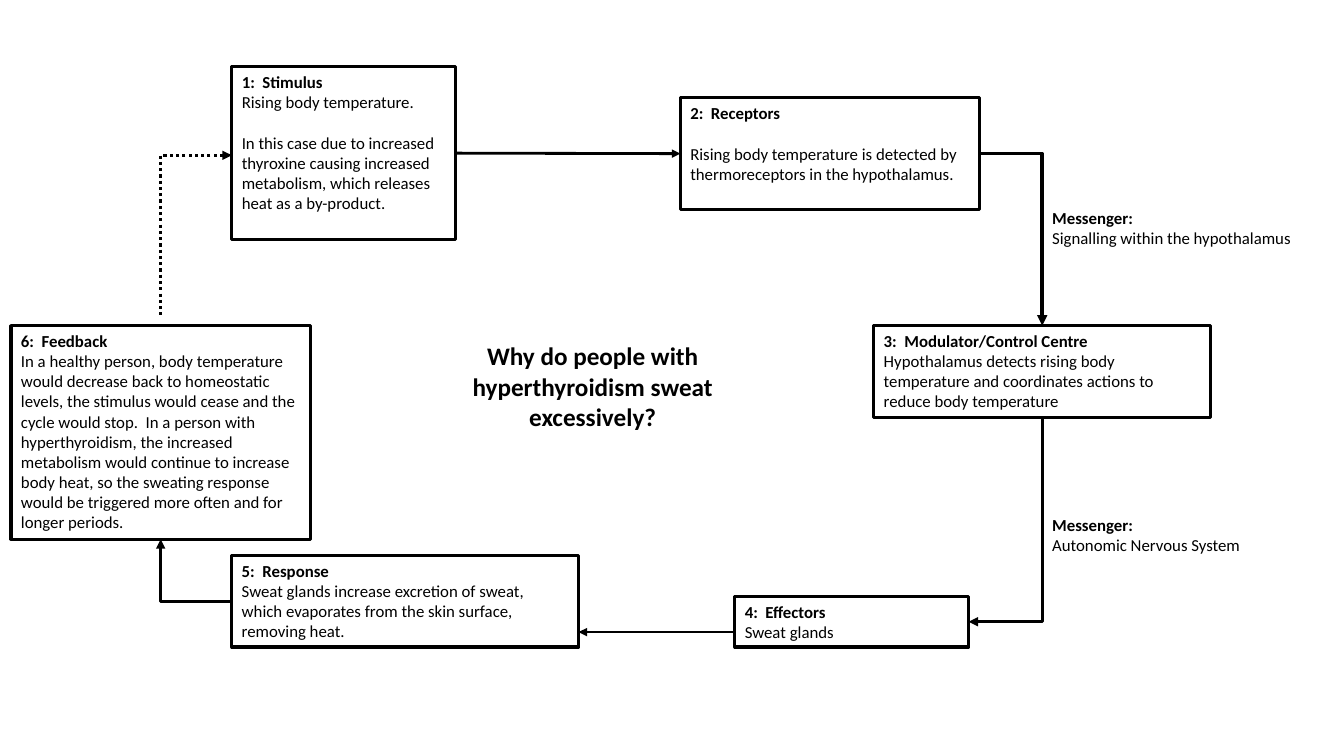
from lxml import etree
from pptx import Presentation
from pptx.dml.color import RGBColor
from pptx.enum import dml, shapes, text
from pptx.oxml import ns
from pptx.util import Pt

COLORS = {"ink": "000000", "paper": "FFFFFF"}
FONT = "Calibri"
TITLE = ("Why do people with hyperthyroidism sweat excessively?", (283.7, 239.8, 279.4, 72.7))

STAGES = {
    "stimulus": ((165.6, 47.5, 159.8, 123.8), 0, [
        "1:  Stimulus", "Rising body temperature.",
        "In this case due to increased thyroxine causing increased metabolism, "
        "which releases heat as a by-product."]),
    "receptors": ((486, 69.8, 213.8, 79.9), 0, [
        "2:  Receptors",
        "Rising body temperature is detected by thermoreceptors in the hypothalamus."]),
    "control": ((624.2, 232.6, 240.5, 65.5), 0, [
        "3:  Modulator/Control Centre",
        "Hypothalamus detects rising body temperature and coordinates actions to "
        "reduce body temperature"]),
    "effectors": ((524.9, 426.2, 167, 36), 0, ["4:  Effectors", "Sweat glands"]),
    "response": ((165.6, 396.7, 247.7, 65.5), 0, [
        "5:  Response",
        "Sweat glands increase excretion of sweat, which evaporates from the skin "
        "surface, removing heat."]),
    "feedback": ((7.9, 232.6, 213.8, 152.6), 0, [
        "6:  Feedback",
        "In a healthy person, body temperature would decrease back to homeostatic "
        "levels, the stimulus would cease and the cycle would stop.  In a person with "
        "hyperthyroidism, the increased metabolism would continue to increase body "
        "heat, so the sweating response would be triggered more often and for longer "
        "periods."]),
}
GAP_BEFORE = {("stimulus", 2): 14.6, ("receptors", 1): 14.6}
MESSENGERS = [
    ((744.5, 144.7, 215, 36), "Signalling within the hypothalamus"),
    ((744.5, 364.3, 175, 65.5), "Autonomic Nervous System"),
]
TOP, LEFT, BOTTOM, RIGHT = range(4)
BENDS = [
    (("receptors", RIGHT, 0), ("control", TOP, 0), "tailEnd", 2.5, False),
    (("effectors", RIGHT, 0), ("control", BOTTOM, 0), "headEnd", 2.25, False),
    (("response", LEFT, 0), ("feedback", BOTTOM, 0), "tailEnd", 2.25, False),
    (("stimulus", LEFT, 1.5), ("feedback", TOP, -5.8), "headEnd", 2.25, True),
]
EFFECTOR_ARROW_Y = 451.5


def side(stage, site, dy=0):
    x, y, w, h = STAGES[stage][0]
    dx, dh = [(w / 2, 0), (0, h / 2), (w / 2, h), (w, h / 2)][site]
    return x + dx, y + dh + dy


def write(tf, content, size=12, align=text.PP_ALIGN.LEFT, gaps=None):
    tf.word_wrap = True
    tf.auto_size = text.MSO_AUTO_SIZE.NONE
    tf.vertical_anchor = text.MSO_ANCHOR.TOP
    tf.margin_left = tf.margin_right = Pt(7.2)
    tf.margin_top = tf.margin_bottom = Pt(3.6)
    for i, line in enumerate(content):
        p = tf.paragraphs[0] if i == 0 else tf.add_paragraph()
        p.alignment = align
        p.line_spacing = 1.0
        p.space_before = Pt((gaps or {}).get(i, 0))
        r = p.add_run()
        r.text = line
        r.font.name = FONT
        r.font.size = Pt(size)
        r.font.bold = i == 0
        r.font.color.rgb = RGBColor.from_string(COLORS["ink"])


def arrow(s, start, end, width, head="tailEnd", bent=False, dotted=False):
    kind = shapes.MSO_CONNECTOR.ELBOW if bent else shapes.MSO_CONNECTOR.STRAIGHT
    c = s.shapes.add_connector(kind, *(Pt(v) for v in start + end))
    c.line.color.rgb = RGBColor.from_string(COLORS["ink"])
    c.line.width = Pt(width)
    if dotted:
        c.line.dash_style = dml.MSO_LINE.ROUND_DOT
    pr = c._element.spPr
    if bent:
        pr.find(ns.qn("a:prstGeom")).set("prst", "bentConnector2")
    etree.SubElement(pr.find(ns.qn("a:ln")), ns.qn("a:" + head), type="triangle")
    etree.SubElement(pr, ns.qn("a:effectLst"))
    return c


def main():
    prs = Presentation()
    prs.slide_width, prs.slide_height = Pt(960), Pt(540)
    s = prs.slides.add_slide(prs.slide_layouts[5])

    title = s.shapes.title
    title.left, title.top, title.width, title.height = (Pt(v) for v in TITLE[1])
    write(title.text_frame, [TITLE[0]], size=18, align=text.PP_ALIGN.CENTER)

    boxes = {}
    for name, (place, _, content) in STAGES.items():
        sp = s.shapes.add_shape(shapes.MSO_SHAPE.RECTANGLE, *(Pt(v) for v in place))
        sp.shadow.inherit = False
        sp.fill.solid()
        sp.fill.fore_color.rgb = RGBColor.from_string(COLORS["paper"])
        sp.line.color.rgb = RGBColor.from_string(COLORS["ink"])
        sp.line.width = Pt(2.25)
        gaps = {i: gap for (stage, i), gap in GAP_BEFORE.items() if stage == name}
        write(sp.text_frame, content, gaps=gaps)
        boxes[name] = sp

    for place, signal in MESSENGERS:
        tb = s.shapes.add_textbox(*(Pt(v) for v in place))
        write(tb.text_frame, ["Messenger:", signal])

    for start, end, head, width, dotted in BENDS:
        arrow(s, side(*start), side(*end), width, head, bent=True, dotted=dotted)

    c = arrow(s, side("stimulus", RIGHT), side("receptors", LEFT), 2)
    c.begin_connect(boxes["stimulus"], RIGHT)
    c.end_connect(boxes["receptors"], LEFT)

    arrow(s, (side("effectors", LEFT)[0], EFFECTOR_ARROW_Y),
          (side("response", RIGHT)[0], EFFECTOR_ARROW_Y), 2)

    prs.save("out.pptx")


if __name__ == "__main__":
    main()
